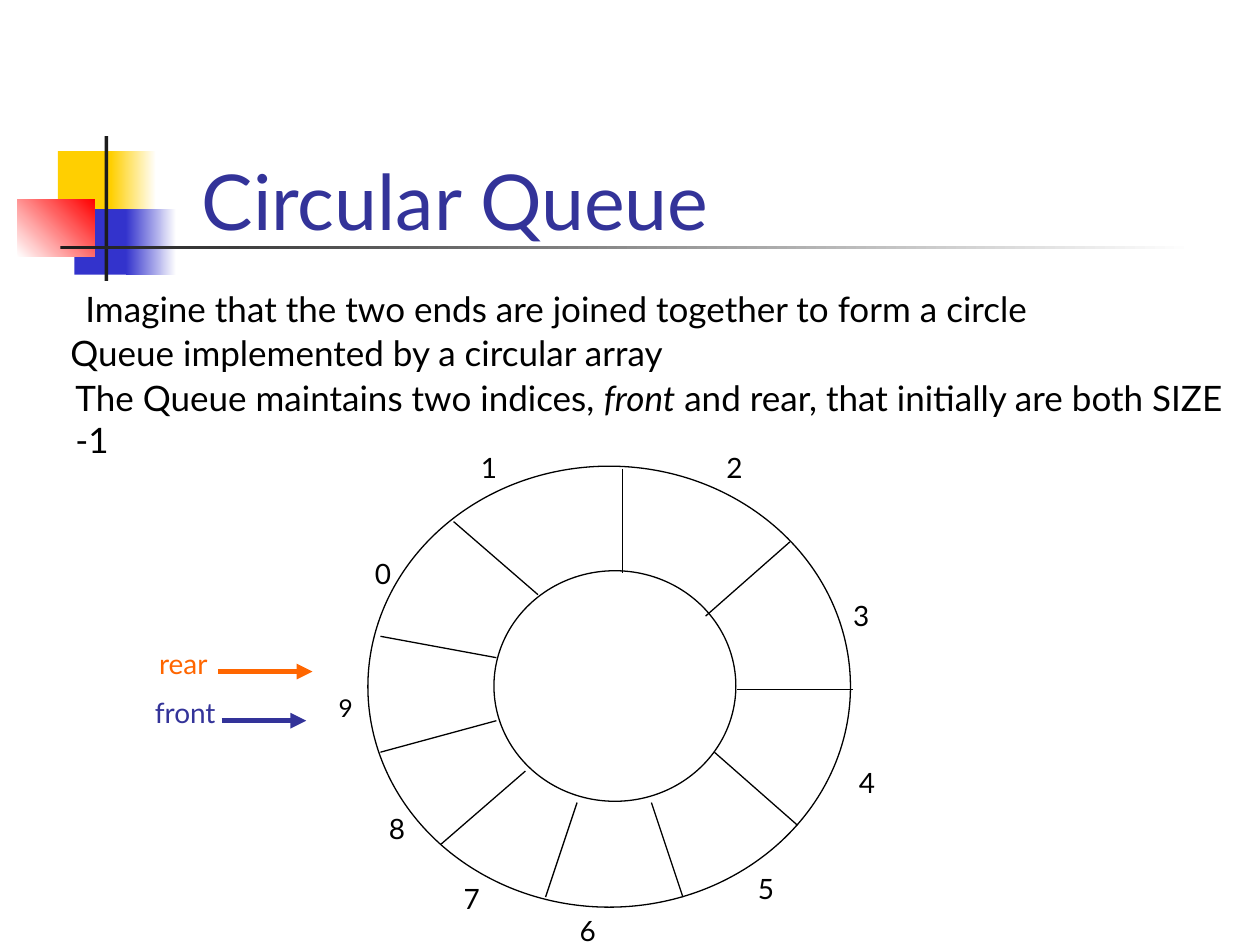
from dataclasses import dataclass

import pptx
import pptx.dml.color
import pptx.enum.shapes
import pptx.enum.text
import pptx.oxml
import pptx.oxml.ns
import pptx.util

Inches = pptx.util.Inches
Shape = pptx.enum.shapes.MSO_SHAPE
Align = pptx.enum.text.PP_ALIGN


@dataclass(frozen=True)
class Theme:
    font: str = "Lato"
    title_size: int = 44
    body_size: int = 20
    label_size: int = 16
    small_size: int = 14
    thin: float = 0.75
    thick: float = 3
    black: str = "000000"
    white: str = "FFFFFF"
    navy: str = "333399"
    orange: str = "FF6600"
    yellow: str = "FFCF01"
    blue: str = "3333CC"
    red: str = "FF0000"
    charcoal: str = "1C1C1C"


def rgb(color):
    return pptx.dml.color.RGBColor.from_string(color)


def lengths(values):
    return [Inches(value) for value in values]


class SlideBuilder:
    def __init__(self, slide, theme):
        self.slide = slide
        self.theme = theme

    def shape(self, kind, area, fill, outline=None):
        shape = self.slide.shapes.add_shape(kind, *lengths(area))
        shape.shadow.inherit = False
        shape.fill.solid()
        shape.fill.fore_color.rgb = rgb(fill)
        if outline:
            shape.line.color.rgb = rgb(outline)
            shape.line.width = pptx.util.Pt(self.theme.thin)
        else:
            shape.line.fill.background()
        return shape

    def fade(self, area, start, end, angle=0):
        """Add a rectangle with a gradient; the angle runs counter-clockwise."""
        shape = self.shape(Shape.RECTANGLE, area, start)
        shape.fill.gradient()
        shape.fill.gradient_angle = angle
        for stop, color in zip(shape.fill.gradient_stops, (start, end)):
            stop.color.rgb = rgb(color)

    def line(self, start, end, color, width, arrow=False):
        connector = self.slide.shapes.add_connector(
            pptx.enum.shapes.MSO_CONNECTOR.STRAIGHT, *lengths(start + end))
        connector.line.color.rgb = rgb(color)
        connector.line.width = pptx.util.Pt(width)
        if arrow:
            outline = connector.line._get_or_add_ln()
            outline.append(pptx.oxml.parse_xml(
                f'<a:tailEnd {pptx.oxml.ns.nsdecls("a")} type="triangle"/>'))
        connector._element.spPr.append(pptx.oxml.parse_xml(
            f'<a:effectLst {pptx.oxml.ns.nsdecls("a")}/>'))

    def format_text(self, box, size, color, align):
        frame = box.text_frame
        frame.word_wrap = True
        frame.auto_size = pptx.enum.text.MSO_AUTO_SIZE.SHAPE_TO_FIT_TEXT
        frame.vertical_anchor = pptx.enum.text.MSO_ANCHOR.TOP
        for para in frame.paragraphs:
            para.alignment = align
            for span in para.runs:
                span.font.name = self.theme.font
                span.font.size = pptx.util.Pt(size)
                span.font.color.rgb = rgb(color)

    def title(self, text, area):
        """Fill the title placeholder and bring it in front of the emblem."""
        title = self.slide.shapes.title
        title.left, title.top, title.width, title.height = lengths(area)
        title.text_frame.text = text
        self.format_text(title, self.theme.title_size, self.theme.navy, Align.LEFT)
        title._element.getparent().append(title._element)

    def text(self, spans, area, size, color, align=Align.LEFT, italic=()):
        """Add one paragraph of spans; italic names the spans to slant."""
        box = self.slide.shapes.add_textbox(*lengths(area))
        para = box.text_frame.paragraphs[0]
        for words in spans:
            span = para.add_run()
            span.text = words
            if words in italic:
                span.font.italic = True
        self.format_text(box, size, color, align)


def draw_emblem(builder):
    theme = builder.theme
    builder.shape(Shape.RECTANGLE, (0.46, 1.2, 0.48, 0.52), theme.yellow)
    builder.fade((0.88, 1.2, 0.36, 0.52), theme.yellow, theme.white)
    builder.shape(Shape.RECTANGLE, (0.59, 1.66, 0.46, 0.52), theme.blue)
    builder.fade((1, 1.66, 0.4, 0.52), theme.blue, theme.white)
    builder.fade((0.14, 1.58, 0.61, 0.46), theme.white, theme.red, angle=45)
    builder.shape(Shape.RECTANGLE, (0.83, 1.08, 0.03, 1.15), theme.charcoal)
    builder.fade((0.48, 1.95, 9, 0.03), theme.charcoal, theme.white)


def draw_ring(builder):
    theme = builder.theme
    for area in ((2.92, 3.7, 3.83, 3.5), (3.92, 4.53, 1.92, 1.83)):
        builder.shape(Shape.OVAL, area, theme.white, theme.black)

    spokes = [
        ((3.6, 4.14), (4.27, 4.72)), ((4.94, 3.72), (4.94, 4.55)),
        ((6.27, 4.3), (5.6, 4.89)), ((5.85, 5.47), (6.77, 5.47)),
        ((5.67, 5.97), (6.33, 6.55)), ((5.17, 6.37), (5.42, 7.12)),
        ((4.58, 6.37), (4.33, 7.12)), ((4.17, 6.12), (3.5, 6.7)),
        ((3.94, 5.72), (3.02, 5.97)), ((3.94, 5.22), (3.02, 5.05)),
    ]
    for start, end in spokes:
        builder.line(start, end, theme.black, theme.thin)

    # Left, top and width of each label, in index order
    index_places = [
        (2.83, 4.37, 0.42), (3.67, 3.53, 0.42), (5.58, 3.53, 0.5),
        (6.67, 4.7, 0.33), (6.67, 6.03, 0.42), (5.83, 6.87, 0.5),
        (4.5, 7.2, 0.33), (3.58, 6.95, 0.33), (2.94, 6.39, 0.42),
    ]
    for index, place in enumerate(index_places):
        builder.text([str(index)], place + (0.37,), theme.label_size,
                     theme.black, Align.CENTER)
    builder.text(["9"], (2.58, 5.45, 0.33, 0.33), theme.small_size,
                 theme.black, Align.CENTER)


def draw_pointers(builder):
    theme = builder.theme
    pointers = [
        ("rear", theme.orange, 0.83, 1.25, 1.73, 2.48, 5.33),
        ("front", theme.navy, 1.01, 0.92, 1.76, 2.43, 5.72),
    ]
    for name, color, left, width, start, end, level in pointers:
        builder.line((start, level), (end, level), color, theme.thick, arrow=True)
        builder.text([name], (left, level - 0.25, width, 0.37),
                     theme.label_size, color, Align.CENTER)


def draw_statements(builder):
    theme = builder.theme
    statements = [
        (["Imagine that the two ends are joined together to form a circle"],
         (0.58, 2.23, 8.25, 0.43)),
        (["Queue implemented by a circular array"], (0.46, 2.58, 5.04, 0.43)),
        (["The Queue maintains two indices, ", "front",
          " and rear, that initially are both SIZE -1"], (0.5, 2.94, 9.5, 0.77)),
    ]
    for spans, area in statements:
        builder.text(spans, area, theme.body_size, theme.black, italic=("front",))


def main():
    deck = pptx.Presentation()
    deck.slide_width, deck.slide_height = Inches(10), Inches(7.5)
    page = deck.slides.add_slide(deck.slide_layouts.get_by_name("Title Only"))
    builder = SlideBuilder(page, Theme())
    draw_emblem(builder)
    builder.title("Circular Queue", (1.5, 1.17, 6, 0.84))
    draw_ring(builder)
    draw_pointers(builder)
    draw_statements(builder)
    deck.save("out.pptx")


if __name__ == "__main__":
    main()
